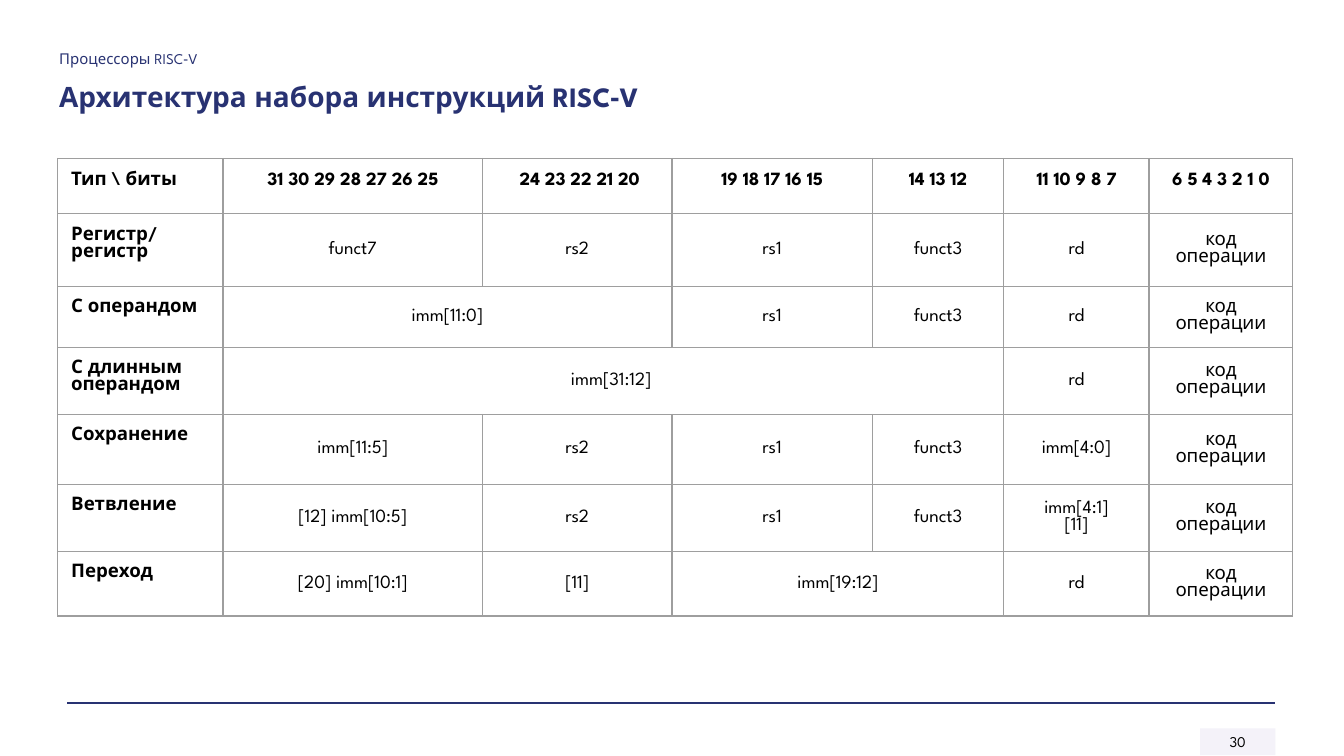
from dataclasses import dataclass

from lxml.etree import SubElement
from pptx import Presentation
from pptx.dml.color import RGBColor
from pptx.enum.shapes import MSO_CONNECTOR, MSO_SHAPE
from pptx.enum.text import MSO_ANCHOR as Anchor, MSO_AUTO_SIZE, PP_ALIGN as Align
from pptx.oxml.ns import qn
from pptx.util import Inches, Pt

FONT = "League Spartan"
NAVY, BLACK, GRID, LAVENDER = "283272", "000000", "9E9E9E", "F3F1F9"
COLUMN_WIDTHS = [1.23, 1.93, 1.41, 1.49, 0.98, 1.08, 1.07]
HEADINGS = [
    "Тип \\ биты", "31 30 29 28 27 26 25", " 24 23 22 21 20", "19 18 17 16 15",
    "14 13 12", "11 10 9 8 7", "6 5 4 3 2 1 0",
]
HEADER_HEIGHT = 0.41


@dataclass(frozen=True)
class Field:
    text: str
    span: int = 1


@dataclass(frozen=True)
class InstructionFormat:
    name: str
    height: float
    fields: tuple[Field, ...]


RS2, RS1, FUNCT3, RD = (Field(name) for name in ("rs2", "rs1", "funct3", "rd"))
OPCODE = Field("код операции")
FORMATS = [
    InstructionFormat("Регистр/ регистр", 0.54, (Field("funct7"), RS2, RS1, FUNCT3, RD)),
    InstructionFormat("С операндом", 0.43, (Field("imm[11:0]", 2), RS1, FUNCT3, RD)),
    InstructionFormat("С длинным операндом", 0.5, (Field("imm[31:12] ", 4), RD)),
    InstructionFormat("Сохранение", 0.52,
                      (Field("imm[11:5]"), RS2, RS1, FUNCT3, Field("imm[4:0]"))),
    InstructionFormat("Ветвление", 0.5,
                      (Field("[12] imm[10:5]"), RS2, RS1, FUNCT3, Field("imm[4:1]\n[11]"))),
    InstructionFormat("Переход", 0.48,
                      (Field("[20] imm[10:1]"), Field("[11]"), Field("imm[19:12]", 2), RD)),
]


def rgb(color: str) -> RGBColor:
    return RGBColor.from_string(color)


def write(frame, text: str, *, size: float = 10, color: str = BLACK,
          bold: bool = False, align=Align.LEFT) -> None:
    frame.text = text
    frame.word_wrap = True
    for paragraph in frame.paragraphs:
        paragraph.alignment = align
        paragraph.space_before = Pt(0)
        font = paragraph.font
        font.name, font.size, font.bold = FONT, Pt(size), bold
        font.color.rgb = rgb(color)


def set_margins(holder, horizontal: float, vertical: float) -> None:
    holder.margin_left = holder.margin_right = Inches(horizontal)
    holder.margin_top = holder.margin_bottom = Inches(vertical)


def place_heading(shape, box: tuple[float, ...], text: str, size: float,
                  bold: bool = False) -> None:
    shape.left, shape.top, shape.width, shape.height = map(Inches, box)
    frame = shape.text_frame
    frame.auto_size = MSO_AUTO_SIZE.NONE
    frame.vertical_anchor = Anchor.TOP
    set_margins(frame, 0.1, 0.1)
    write(frame, text, size=size, color=NAVY, bold=bold)


def outline_cell(cell) -> None:
    properties = cell._tc.get_or_add_tcPr()
    for position, side in enumerate(("a:lnL", "a:lnR", "a:lnT", "a:lnB")):
        line = SubElement(properties, qn(side), w=str(Pt(0.75)))
        fill = SubElement(line, qn("a:solidFill"))
        SubElement(fill, qn("a:srgbClr"), val=GRID)
        properties.insert(position, line)


def fill_cell(cell, text: str, *, bold: bool = False, align=Align.CENTER,
              anchor=Anchor.MIDDLE) -> None:
    set_margins(cell, 0.1, 0.1)
    cell.vertical_anchor = anchor
    write(cell.text_frame, text, bold=bold, align=align)


def add_format_table(slide) -> None:
    heights = [HEADER_HEIGHT] + [item.height for item in FORMATS]
    table = slide.shapes.add_table(
        len(heights), len(COLUMN_WIDTHS), Inches(0.43), Inches(1.18),
        Inches(sum(COLUMN_WIDTHS)), Inches(sum(heights))).table
    for column, width in zip(table.columns, COLUMN_WIDTHS):
        column.width = Inches(width)
    for row, height in zip(table.rows, heights):
        row.height = Inches(height)
    for cell in table.iter_cells():
        cell.fill.background()
        outline_cell(cell)

    for index, text in enumerate(HEADINGS):
        fill_cell(table.cell(0, index), text, bold=True, anchor=Anchor.TOP,
                  align=Align.CENTER if index else Align.LEFT)
    for row_index, item in enumerate(FORMATS, start=1):
        fill_cell(table.cell(row_index, 0), item.name, bold=True,
                  align=Align.LEFT, anchor=Anchor.TOP)
        column_index = 1
        for field in (*item.fields, OPCODE):
            cell = table.cell(row_index, column_index)
            if field.span > 1:
                cell.merge(table.cell(row_index, column_index + field.span - 1))
            fill_cell(cell, field.text)
            column_index += field.span


def add_footer(slide, number: str) -> None:
    badge = slide.shapes.add_shape(MSO_SHAPE.RECTANGLE, Inches(8.93), Inches(5.42),
                                   Inches(0.56), Inches(0.2))
    badge.shadow.inherit = False
    badge.fill.solid()
    badge.fill.fore_color.rgb = rgb(LAVENDER)
    fill_color = badge._element.spPr.find(".//" + qn("a:srgbClr"))
    SubElement(fill_color, qn("a:alpha"), val="90000")
    badge.line.fill.background()
    set_margins(badge.text_frame, 0.07, 0.04)
    badge.text_frame.vertical_anchor = Anchor.MIDDLE
    write(badge.text_frame, number, size=8, align=Align.CENTER)

    rule = slide.shapes.add_connector(MSO_CONNECTOR.STRAIGHT, Inches(0.5), Inches(5.23),
                                      Inches(9.49), Inches(5.23))
    rule.line.color.rgb = rgb(NAVY)
    rule.line.width = Pt(1)
    SubElement(rule._element.spPr, qn("a:effectLst"))


def main() -> None:
    presentation = Presentation()
    presentation.slide_width = Inches(10)
    presentation.slide_height = Inches(10 * 9 / 16)
    slide = presentation.slides.add_slide(presentation.slide_layouts[0])
    add_footer(slide, "30")
    place_heading(slide.placeholders[1], (0.34, 0.27, 4.99, 0.26), "Процессоры RISC‑V", 8)
    place_heading(slide.shapes.title, (0.34, 0.49, 7.63, 0.35),
                  "Архитектура набора инструкций RISC‑V", 15, bold=True)
    add_format_table(slide)
    presentation.save("out.pptx")


if __name__ == "__main__":
    main()
